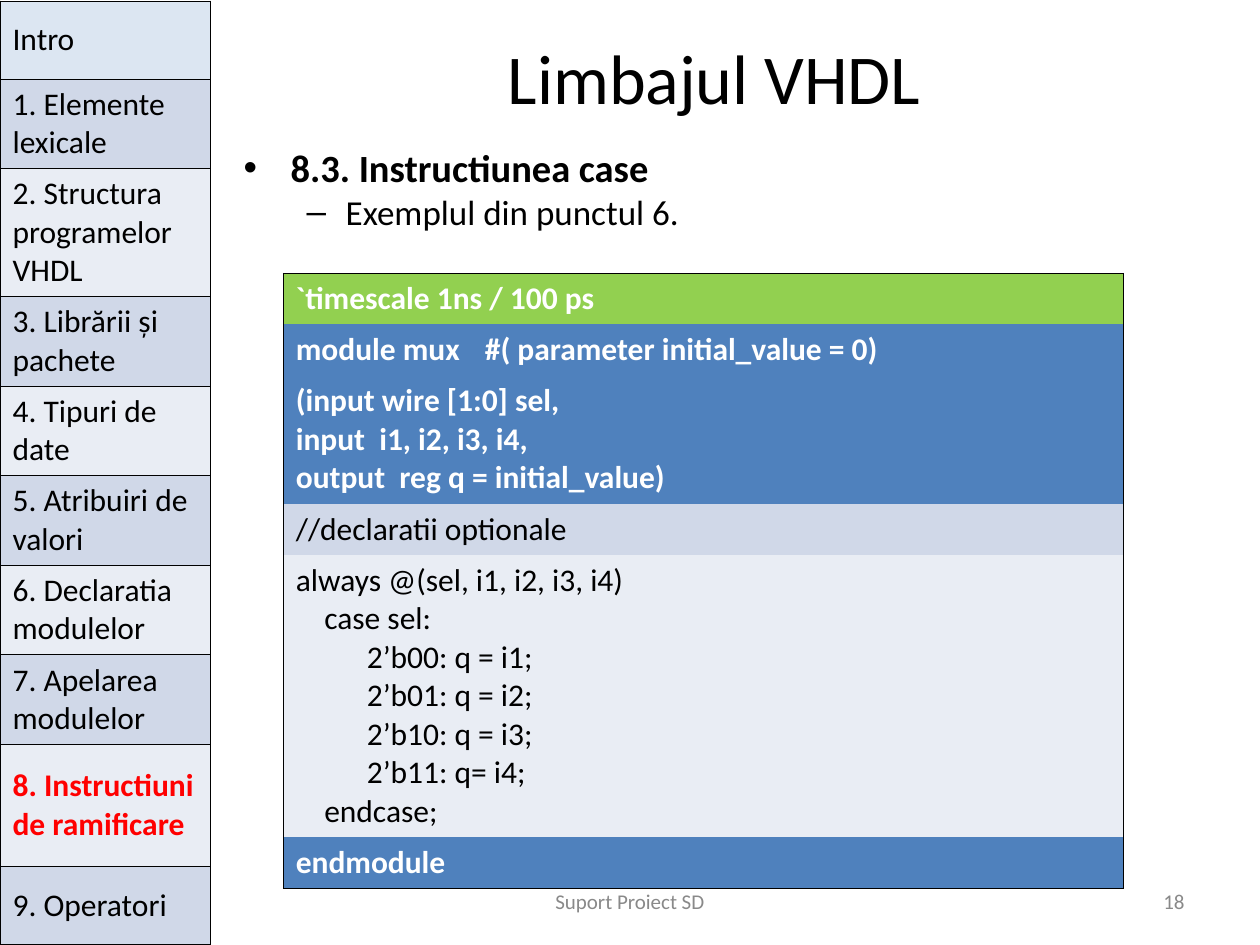
from lxml import etree
from pptx import Presentation
from pptx.dml.color import RGBColor
from pptx.enum import text
from pptx.oxml import ns
from pptx.util import Cm, Pt

LEFT, MID, RIGHT = text.PP_ALIGN.LEFT, text.PP_ALIGN.CENTER, text.PP_ALIGN.RIGHT
BLACK, WHITE, GREY, RED = "000000", "FFFFFF", "898989", "FF0000"
GREEN, BLUE, DARK, PALE, SKY = "92D050", "4F81BD", "D0D8E8", "E9EDF4", "DCE6F2"

TOPICS = [
    ("Intro", 1.57), ("1. Elemente lexicale", 1.8),
    ("2. Structura programelor VHDL", 2.59), ("3. Librării și pachete", 1.8),
    ("4. Tipuri de date", 1.8), ("5. Atribuiri de valori", 1.81),
    ("6. Declaratia modulelor", 1.81), ("7. Apelarea modulelor", 1.8),
    ("8. Instructiuni de ramificare", 2.46), ("9. Operatori", 1.58),
]
HERE = 8

PORTS = """(input wire [1:0] sel,
input  i1, i2, i3, i4,
output  reg q = initial_value)"""
CASE = """always @(sel, i1, i2, i3, i4)
    case sel:
          2’b00: q = i1;
          2’b01: q = i2;
          2’b10: q = i3;
          2’b11: q= i4;
    endcase;"""
# Cell texts, row height, fill, whether it is a bold white row
CODE = [
    (["`timescale 1ns / 100 ps"], 1.03, GREEN, True),
    (["module mux", "#( parameter initial_value = 0)"], 1.03, BLUE, True),
    ([PORTS], 2.59, BLUE, True),
    (["//declaratii optionale"], 1.03, DARK, False),
    ([CASE], 5.69, PALE, False),
    (["endmodule"], 1.03, BLUE, True),
]


def rgb(hue):
    return RGBColor.from_string(hue)


def write(par, words, size=18, hue=BLACK, bold=False, align=LEFT):
    par.text = words
    par.alignment = align
    font = par.font
    font.name, font.size, font.bold = "Calibri", Pt(size), bold
    font.color.rgb = rgb(hue)


def add_box(slide, left, top, width, height, anchor=text.MSO_ANCHOR.MIDDLE):
    frame = slide.shapes.add_textbox(Cm(left), Cm(top), Cm(width), Cm(height)).text_frame
    frame.word_wrap = True
    frame.vertical_anchor = anchor
    return frame


def add_bullet(par, mark, left, hang):
    """Give the paragraph a hanging bullet; lengths in cm."""
    props = par._p.get_or_add_pPr()
    props.set("marL", str(Cm(left)))
    props.set("indent", str(-Cm(hang)))
    etree.SubElement(props, ns.qn("a:buFont")).set("typeface", "Arial")
    etree.SubElement(props, ns.qn("a:buChar")).set("char", mark)
    par.line_spacing = 0.8


def add_table(slide, left, top, cols, rows):
    frame = slide.shapes.add_table(len(rows), len(cols), Cm(left), Cm(top),
                                   Cm(sum(cols)), Cm(sum(rows)))
    table = frame.table
    table.first_row = table.horz_banding = False
    for col, width in zip(table.columns, cols):
        col.width = Cm(width)
    for row, height in zip(table.rows, rows):
        row.height = Cm(height)
    return table


def paint(cell, fill, sides):
    """Fill the cell and draw thin lines on the named sides only."""
    props = cell._tc.get_or_add_tcPr()
    for side in "LRTB":
        line = etree.SubElement(props, ns.qn("a:ln" + side), w=str(Pt(0.45)))
        if side in sides:
            solid = etree.SubElement(line, ns.qn("a:solidFill"))
            etree.SubElement(solid, ns.qn("a:srgbClr")).set("val", BLACK)
        else:
            etree.SubElement(line, ns.qn("a:noFill"))
    cell.fill.solid()
    cell.fill.fore_color.rgb = rgb(fill)


def write_cell(cell, words, **style):
    frame = cell.text_frame
    for i, line in enumerate(words.split("\n")):
        write(frame.add_paragraph() if i else frame.paragraphs[0], line, **style)


def add_menu(slide):
    table = add_table(slide, 0, 0.02, [4.24], [high for _, high in TOPICS])
    for i, (topic, _) in enumerate(TOPICS):
        cell = table.cell(i, 0)
        cell.vertical_anchor = text.MSO_ANCHOR.MIDDLE
        paint(cell, (DARK if i % 2 else PALE) if i else SKY, "LRTB")
        write_cell(cell, topic, hue=RED if i == HERE else BLACK, bold=i == HERE)


def add_code(slide):
    table = add_table(slide, 5.71, 5.51, [3.81, 13.12], [row[1] for row in CODE])
    last = len(CODE) - 1
    for i, (parts, _, fill, strong) in enumerate(CODE):
        ends = ("T" if i == 0 else "") + ("B" if i == last else "")
        one = len(parts) == 1
        for j, side in enumerate("LR"):
            paint(table.cell(i, j), fill, ends + ("LR" if one else side))
        if one:
            table.cell(i, 0).merge(table.cell(i, 1))
        else:
            table.cell(i, 0).margin_right = Cm(0.1)
        for j, words in enumerate(parts):
            write_cell(table.cell(i, j), words, hue=WHITE if strong else BLACK, bold=strong)


def main():
    deck = Presentation()
    deck.slide_width, deck.slide_height = Cm(25.4), Cm(19.05)
    slide = deck.slides.add_slide(deck.slide_layouts[6])

    title = add_box(slide, 4.66, 0.76, 19.47, 1.58)
    write(title.paragraphs[0], "Limbajul VHDL", size=40, align=MID)

    body = add_box(slide, 4.66, 2.96, 19.47, 1.9, text.MSO_ANCHOR.TOP)
    head, item = body.paragraphs[0], body.add_paragraph()
    add_bullet(head, "•", 0.95, 0.95)
    write(head, "8.3. Instructiunea case", size=22, bold=True)
    item.level = 1
    add_bullet(item, "–", 2.06, 0.79)
    item.space_before = Pt(5)
    write(item, "Exemplul din punctul 6.", size=20)

    foot = add_box(slide, 8.68, 17.66, 8.04, 1.01)
    write(foot.paragraphs[0], "Suport Proiect SD", size=12, hue=GREY, align=MID)
    page = add_box(slide, 18.2, 17.66, 5.93, 1.01)
    write(page.paragraphs[0], "18", size=12, hue=GREY, align=RIGHT)

    add_menu(slide)
    add_code(slide)
    deck.save("out.pptx")


if __name__ == "__main__":
    main()
